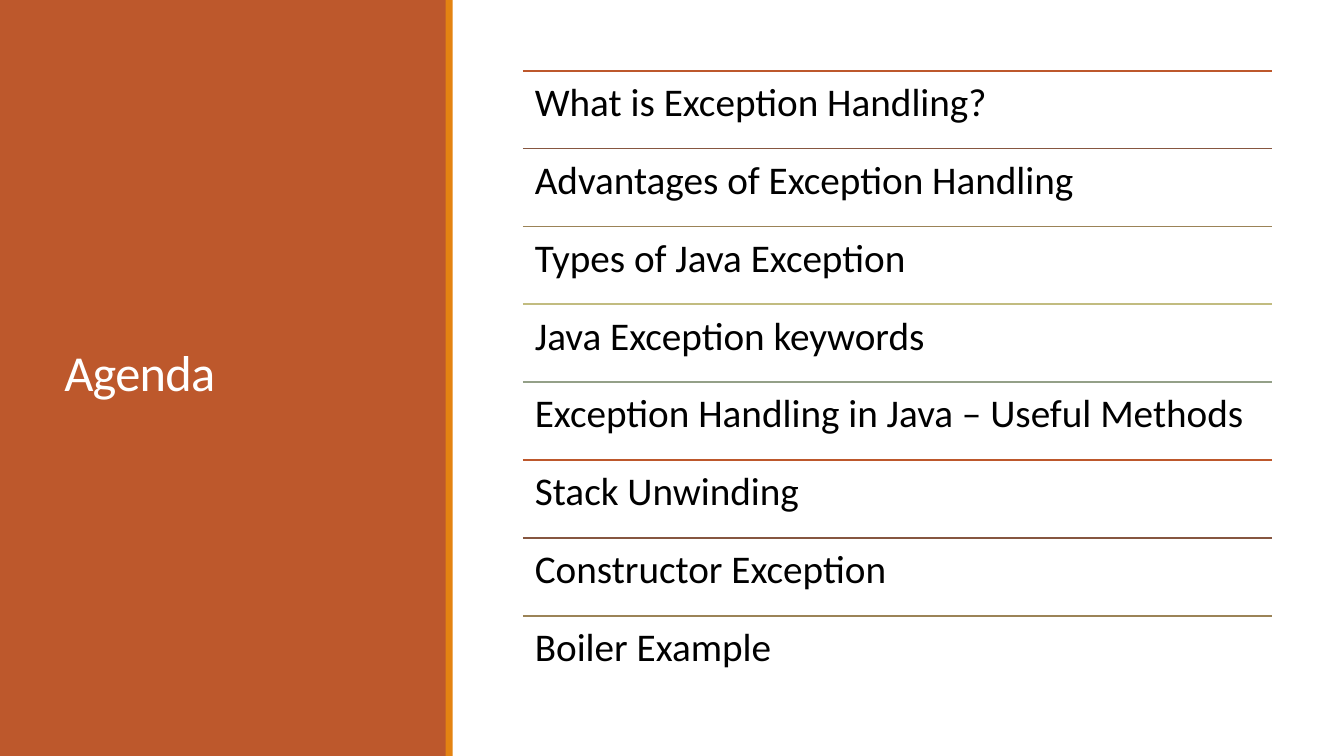
import itertools

import lxml.etree
import pptx
import pptx.dml.color
import pptx.enum.shapes
import pptx.enum.text
import pptx.oxml.ns
import pptx.util

Cm = pptx.util.Cm

SLIDE_WIDTH, SLIDE_HEIGHT = 33.87, 19.05
RUST, AMBER = "BD582C", "E48312"
RULE_COLORS = [RUST, "865640", "9B8357", "C2BC80", "94A088"]
TOPICS = [
    "What is Exception Handling?",
    "Advantages of Exception Handling",
    "Types of Java Exception",
    "Java Exception keywords",
    "Exception Handling in Java – Useful Methods",
    "Stack Unwinding",
    "Constructor Exception",
    "Boiler Example",
]


def color(hex_string):
    return pptx.dml.color.RGBColor.from_string(hex_string)


def write_text(shape, text, *, size, fill, inset, line_spacing, anchor, tracking=0):
    """Put one left-aligned paragraph in a shape."""
    frame = shape.text_frame
    frame.word_wrap = True
    frame.auto_size = pptx.enum.text.MSO_AUTO_SIZE.NONE
    frame.vertical_anchor = anchor
    frame.margin_left = frame.margin_right = Cm(inset[0])
    frame.margin_top = frame.margin_bottom = Cm(inset[1])
    paragraph = frame.paragraphs[0]
    paragraph.alignment = pptx.enum.text.PP_ALIGN.LEFT
    paragraph.line_spacing = line_spacing
    run = paragraph.add_run()
    run.text = text
    run.font.name = "Calibri"
    run.font.size = pptx.util.Pt(size)
    run.font.color.rgb = color(fill)
    if tracking:
        run.font._element.set("spc", str(round(tracking * 100)))


def add_band(slide, left, top, width, height, fill):
    band = slide.shapes.add_shape(
        pptx.enum.shapes.MSO_SHAPE.RECTANGLE, Cm(left), Cm(top), Cm(width), Cm(height)
    )
    band.shadow.inherit = False
    band.fill.solid()
    band.fill.fore_color.rgb = color(fill)
    band.line.fill.background()
    return band


def add_rule(slide, left, top, width, stroke):
    rule = slide.shapes.add_connector(
        pptx.enum.shapes.MSO_CONNECTOR.STRAIGHT,
        Cm(left), Cm(top), Cm(left + width), Cm(top),
    )
    rule.line.color.rgb = color(stroke)
    rule.line.width = pptx.util.Pt(1.25)
    # An empty effect list removes the shadow
    lxml.etree.SubElement(rule.element.spPr, pptx.oxml.ns.qn("a:effectLst"))


def build_title_panel(slide, left, top, width, height):
    # Coloured panel with an accent strip on its right edge
    panel = add_band(slide, left, top, width, height, RUST)
    add_band(slide, left + width - 0.02, top, 0.18, height, AMBER)

    # Title, brought in front of the panel
    title = slide.shapes.title
    title.left, title.top = Cm(left + 1.37), Cm(top + 1.45)
    title.width, title.height = Cm(width - 2.69), Cm(height - 3.02)
    write_text(
        title, "Agenda", size=36, fill="FFFFFF", inset=(0.25, 0.13),
        line_spacing=0.85, anchor=pptx.enum.text.MSO_ANCHOR.MIDDLE, tracking=-0.5,
    )
    panel.element.addnext(title.element)


def build_topic_list(slide, left, top, width, height):
    # Equal rows, each with a rule above its text
    row_height = height / len(TOPICS)
    for index, (topic, stroke) in enumerate(zip(TOPICS, itertools.cycle(RULE_COLORS))):
        row_top = top + index * row_height
        add_rule(slide, left, row_top, width, stroke)
        box = slide.shapes.add_textbox(Cm(left), Cm(row_top), Cm(width), Cm(row_height))
        write_text(
            box, topic, size=28, fill="000000", inset=(0.3, 0.3),
            line_spacing=0.9, anchor=pptx.enum.text.MSO_ANCHOR.TOP,
        )


def main():
    presentation = pptx.Presentation()
    presentation.slide_width = Cm(SLIDE_WIDTH)
    presentation.slide_height = Cm(SLIDE_HEIGHT)
    title_only = presentation.slide_layouts[5]
    slide = presentation.slides.add_slide(title_only)
    slide.background.fill.solid()
    slide.background.fill.fore_color.rgb = color("FFFFFF")

    build_title_panel(slide, 0, 0, 11.25, SLIDE_HEIGHT)
    build_topic_list(slide, 13.18, 1.78, 18.87, 15.7)
    presentation.save("out.pptx")


if __name__ == "__main__":
    main()
